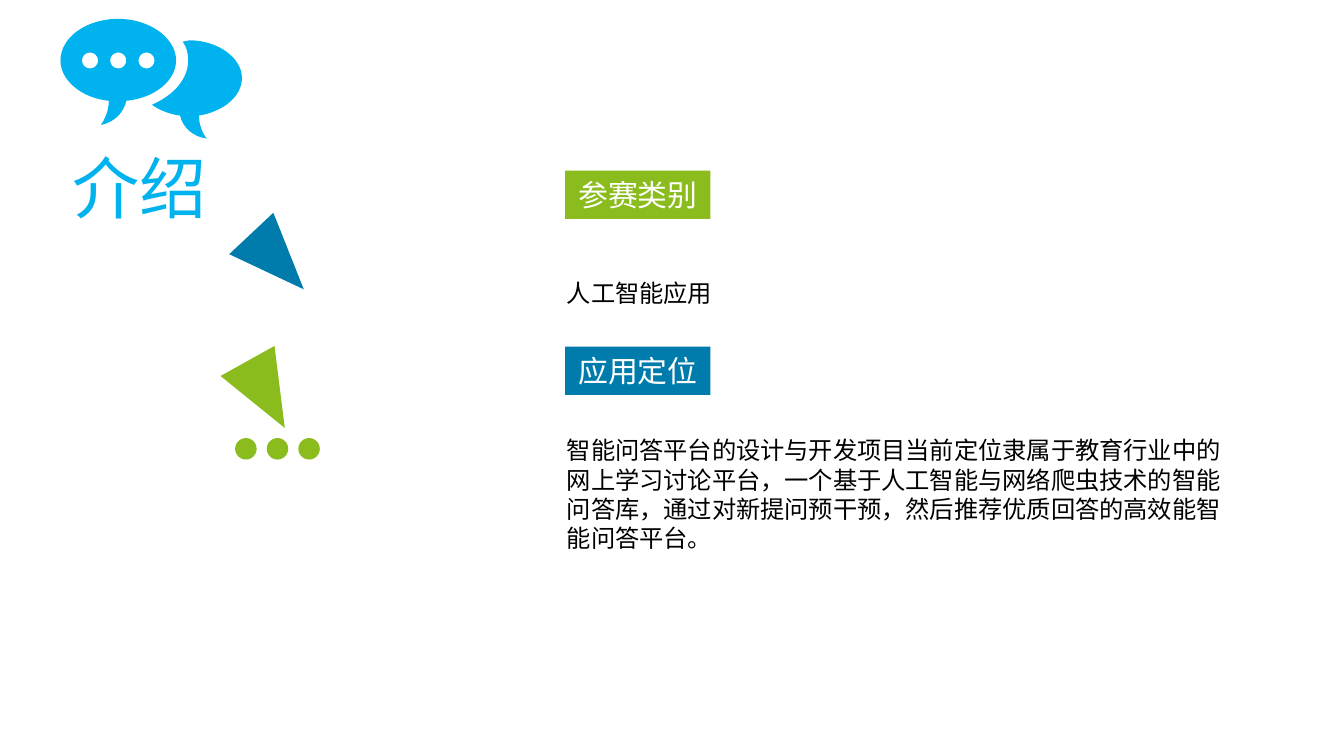
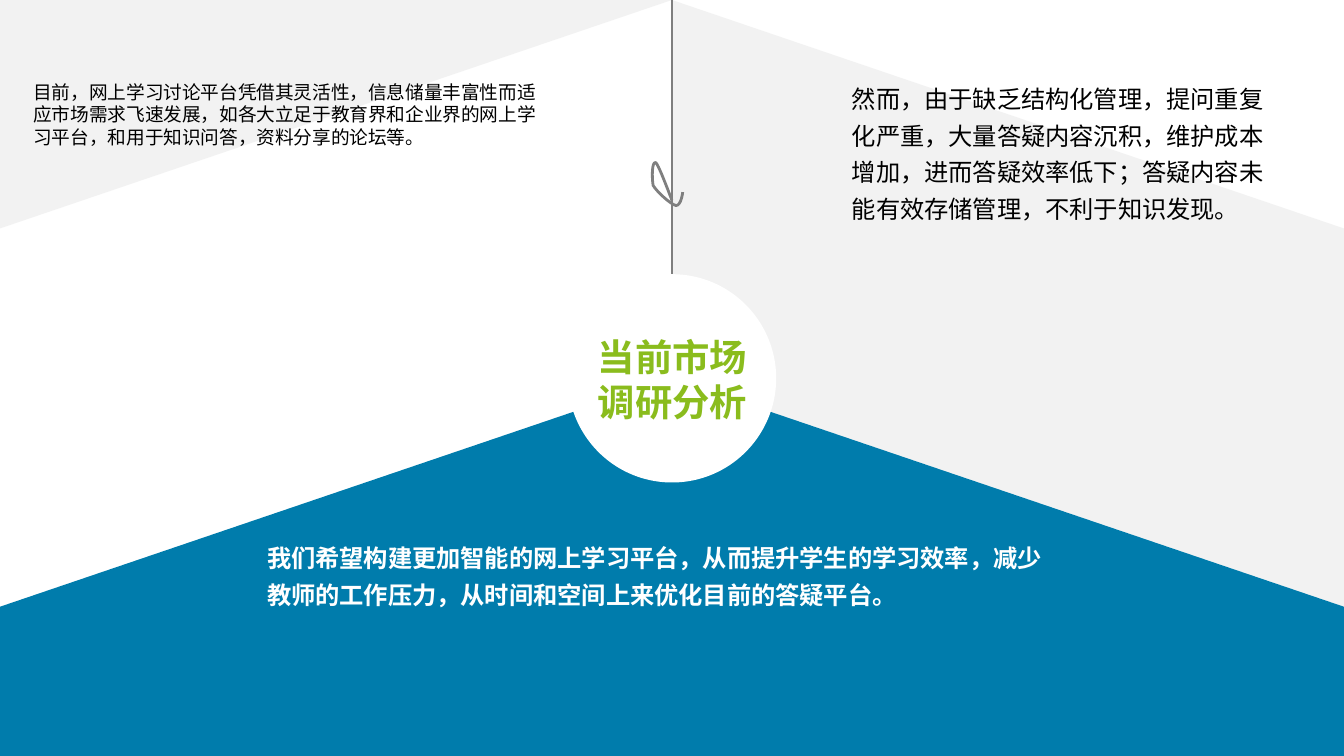
from dataclasses import dataclass

import lxml.etree
import pptx
import pptx.dml.color
import pptx.enum.shapes
import pptx.enum.text
import pptx.oxml.ns
import pptx.util

RGBColor = pptx.dml.color.RGBColor
SHAPE = pptx.enum.shapes.MSO_SHAPE
ALIGN = pptx.enum.text.PP_ALIGN
ANCHOR = pptx.enum.text.MSO_ANCHOR
qn = pptx.oxml.ns.qn

BLUE = RGBColor(0x00, 0x7C, 0xAC)
GREEN = RGBColor(0x8A, 0xBC, 0x1D)
SKY = RGBColor(0x00, 0xB3, 0xEE)
PALE = RGBColor(0xF2, 0xF2, 0xF2)
GREY = RGBColor(0x7F, 0x7F, 0x7F)
BLACK = RGBColor(0x00, 0x00, 0x00)
WHITE = RGBColor(0xFF, 0xFF, 0xFF)

FONT = "Noto Sans CJK KR"
TITLE_FONT = "Noto Sans CJK SC"
SMALL_FONT = "Arial"
BODY_SIZE = 13
LINE_HEIGHT = 1.21
LOOSE = 1.25

# The slide is a grid of square cells, 100 columns wide
WIDTH = pptx.util.Inches(10)
COLUMNS = 100
ROWS = COLUMNS * 9 / 16
CELL = WIDTH / COLUMNS
TITLE_ONLY = 5


@dataclass
class Box:
    """A region of the slide, measured in grid cells."""
    left: float
    top: float
    width: float
    height: float

    def point(self, column, row):
        return round((self.left + column) * CELL), round((self.top + row) * CELL)

    def frame(self, column, row, width, height):
        return (*self.point(column, row), round(width * CELL), round(height * CELL))

    def inner(self, column, row, width, height):
        return Box(self.left + column, self.top + row, width, height)


# ---- Shared parts ----

def paint(shape, color):
    shape.shadow.inherit = False
    shape.fill.solid()
    shape.fill.fore_color.rgb = color
    shape.line.fill.background()
    return shape


def add_block(page, kind, frame, color, rotation=0):
    shape = paint(page.shapes.add_shape(kind, *frame), color)
    shape.rotation = rotation
    return shape


def write(shape, text, color, size=BODY_SIZE, font=FONT, bold=False, align=ALIGN.LEFT,
          spacing=1.0, anchor=ANCHOR.TOP, wrap=True):
    frame = shape.text_frame
    frame.text = text
    frame.word_wrap = wrap
    frame.auto_size = pptx.enum.text.MSO_AUTO_SIZE.NONE
    frame.vertical_anchor = anchor
    for para in frame.paragraphs:
        para.alignment = align
        para.line_spacing = pptx.util.Pt(size * LINE_HEIGHT * spacing)
        para.font.size = pptx.util.Pt(size)
        para.font.bold = bold
        para.font.color.rgb = color
        para.font.name = font
        # East Asian letters need the typeface named separately
        east = lxml.etree.SubElement(para.font._element, qn("a:ea"))
        east.set("typeface", font)


def add_text(page, frame, text, color, **style):
    write(page.shapes.add_textbox(*frame), text, color, **style)


def place_title(page, frame, text, color, **style):
    title = page.shapes.title
    title.left, title.top, title.width, title.height = frame
    title.text_frame.margin_left = title.text_frame.margin_right = 0
    write(title, text, color, align=ALIGN.CENTER, wrap=False, **style)
    title.element.getparent().append(title.element)  # bring to the front


def add_outline(page, box, contours, close=True):
    builder = None
    for contour in contours:
        first, *others = [box.point(*point) for point in contour]
        if builder is None:
            builder = page.shapes.build_freeform(*first)
        else:
            builder.move_to(*first)
        builder.add_line_segments(others, close=close)
    return builder.convert_to_shape()


def add_curves(page, box, contours, close=True):
    """An outline of cubic curves: after its start, two handles and an end each."""
    shape = add_outline(page, box, contours, close)
    lines = list(shape.element.iter(qn("a:lnTo")))
    for index in range(0, len(lines), 3):
        curve = lxml.etree.Element(qn("a:cubicBezTo"))
        lines[index].addprevious(curve)
        for line in lines[index:index + 3]:
            curve.append(line[0])
            line.getparent().remove(line)
    return shape


def ring(column, row, radius):
    """A circle of four curves."""
    bend = 0.55
    quarters = [(1, 0), (1, bend), (bend, 1), (0, 1), (-bend, 1), (-1, bend), (-1, 0),
                (-1, -bend), (-bend, -1), (0, -1), (bend, -1), (1, -bend), (1, 0)]
    return [(column + radius * x, row + radius * y) for x, y in quarters]


def style_line(line):
    line.color.rgb = GREY
    line.width = pptx.util.Pt(1.5)


# ---- Introduction ----

def draw_bubbles(page, box):
    front = [(8.6, 3.1),
             (8.6, 1.4), (6.6, 0), (4.3, 0),
             (1.9, 0), (0, 1.4), (0, 3.1),
             (0, 4.6), (1.6, 5.9), (3.6, 6.1),
             (3.6, 6.8), (3.3, 7.5), (3.0, 7.9),
             (4.0, 7.7), (4.7, 7.0), (4.9, 6.1),
             (7.0, 5.9), (8.6, 4.6), (8.6, 3.1)]
    back = [(10.3, 7.2),
            (10.3, 7.9), (10.6, 8.6), (10.9, 8.9),
            (9.9, 8.8), (9.1, 8.1), (8.9, 7.2),
            (8.1, 7.1), (7.4, 6.8), (6.8, 6.4),
            (8.4, 5.7), (9.5, 4.5), (9.5, 3.1),
            (9.5, 2.6), (9.4, 2.1), (9.1, 1.7),
            (9.3, 1.7), (9.4, 1.6), (9.6, 1.6),
            (11.7, 1.6), (13.5, 2.9), (13.5, 4.4),
            (13.5, 5.8), (12.1, 6.9), (10.3, 7.2)]
    holes = [ring(4.3 + 2.1 * step, 3.1, 0.6) for step in (-1, 0, 1)]
    paint(add_curves(page, box, [front, *holes, back]), SKY)


def draw_trail(page, box):
    """Two turned triangles above a row of dots."""
    add_block(page, SHAPE.ISOSCELES_TRIANGLE, box.frame(0.9, 0, 4.5, 5.7), BLUE, 136.8)
    add_block(page, SHAPE.ISOSCELES_TRIANGLE, box.frame(0, 9.9, 4.6, 5.7), GREEN, 150.9)
    for index in range(3):
        add_block(page, SHAPE.OVAL, box.frame(2.35 * index, 16, 1.6, 1.6), GREEN)


def draw_topic(page, box, label, color, text, text_box, **style):
    """A coloured label with its text below, in a box starting at the label."""
    add_text(page, box.frame(*text_box), text, BLACK, **style)
    tag = add_block(page, SHAPE.RECTANGLE, box.frame(0, 0, 10.8, 3.6), color)
    write(tag, label, WHITE, size=16, anchor=ANCHOR.MIDDLE, wrap=False)


def build_introduction(page, box):
    draw_trail(page, box.inner(17.5, 16.6, 6.3, 17.6))
    draw_bubbles(page, box.inner(4.5, 1.4, 13.5, 8.9))
    draw_topic(page, box.inner(42.05, 12.7, 52, 10.8), "参赛类别", GREEN,
               "人工智能应用", (-0.85, 3.7, 50, 7),
               align=ALIGN.JUSTIFY, anchor=ANCHOR.BOTTOM)
    draw_topic(page, box.inner(42.05, 25.8, 52, 15.7), "应用定位", BLUE,
               "智能问答平台的设计与开发项目当前定位隶属于教育行业中的网上学习讨论平台，"
               "一个基于人工智能与网络爬虫技术的智能问答库，通过对新提问预干预，"
               "然后推荐优质回答的高效能智能问答平台。", (-0.85, 6.1, 52, 9.6))
    place_title(page, box.frame(4.4, 10.3, 12, 7), "介绍", SKY, size=36, font=TITLE_FONT)


# ---- Market analysis ----

def draw_panels(page, box):
    middle = box.width / 2
    slope = 17  # rows that each slanted edge falls over half the slide
    side = box.height - 11.1
    # Turned presets: the frame is given before rotation, about the same centre
    right = add_block(page, SHAPE.PARALLELOGRAM,
                      box.frame(middle * 1.5 - side / 2, (side - middle) / 2, side, middle),
                      PALE, 270)
    right.adjustments[0] = slope / side
    roof = [(middle, side - slope), (box.width, side), (box.width, box.height),
            (0, box.height), (0, side)]
    paint(add_outline(page, box, [roof]), BLUE)
    add_block(page, SHAPE.RIGHT_TRIANGLE,
              box.frame((middle - slope) / 2, (slope - middle) / 2, slope, middle), PALE, 90)


def draw_pendant(page, box):
    """The hanging circle with its string and bow."""
    size = box.width
    string = page.shapes.add_connector(pptx.enum.shapes.MSO_CONNECTOR.STRAIGHT,
                                       *box.point(size / 2, 0),
                                       *box.point(size / 2, box.height - size))
    style_line(string.line)
    lxml.etree.SubElement(string.element.spPr, qn("a:effectLst"))

    bow = [(1.5, 2.9),
           (1.0, 1.6), (0.5, 0.3), (0.3, 0.1),
           (0, 0), (0, 1.2), (0.1, 1.8),
           (0.4, 2.3), (1.4, 3.2), (1.8, 3.3),
           (2.2, 3.3), (2.3, 2.3), (2.3, 2.3)]
    loop = add_curves(page, box.inner(6.25, 12, 2.3, 3.2), [bow], close=False)
    loop.shadow.inherit = False
    loop.fill.background()
    style_line(loop.line)

    circle = add_block(page, SHAPE.OVAL, box.frame(0, box.height - size, size, size), WHITE)
    string.end_connect(circle, 0)


def build_market(page, box):
    draw_panels(page, box)
    add_text(page, box.frame(62.4, 5.2, 33.8, 17.8),
             "然而，由于缺乏结构化管理，提问重复化严重，大量答疑内容沉积，维护成本增加，"
             "进而答疑效率低下；答疑内容未能有效存储管理，不利于知识发现。",
             BLACK, spacing=LOOSE)
    draw_pendant(page, box.inner(42.25, 0, 15.5, 35.9))
    place_title(page, box.frame(43.5, 24.3, 13.1, 7.6), "当前市场\n调研分析", GREEN,
                size=20, bold=True)
    add_text(page, box.frame(1.5, 5.5, 39.5, 23.6),
             "目前，网上学习讨论平台凭借其灵活性，信息储量丰富性而适应市场需求飞速发展，"
             "如各大立足于教育界和企业界的网上学习平台，和用于知识问答，资料分享的论坛等。",
             BLACK, size=10, font=SMALL_FONT)
    add_text(page, box.frame(18.9, 39.4, 60.6, 12.6),
             "我们希望构建更加智能的网上学习平台，从而提升学生的学习效率，"
             "减少教师的工作压力，从时间和空间上来优化目前的答疑平台。",
             WHITE, bold=True, spacing=LOOSE)


def main():
    deck = pptx.Presentation()
    deck.slide_width = WIDTH
    deck.slide_height = round(ROWS * CELL)
    for build in (build_introduction, build_market):
        page = deck.slides.add_slide(deck.slide_layouts[TITLE_ONLY])
        build(page, Box(0, 0, COLUMNS, ROWS))
    deck.save("out.pptx")


if __name__ == "__main__":
    main()
